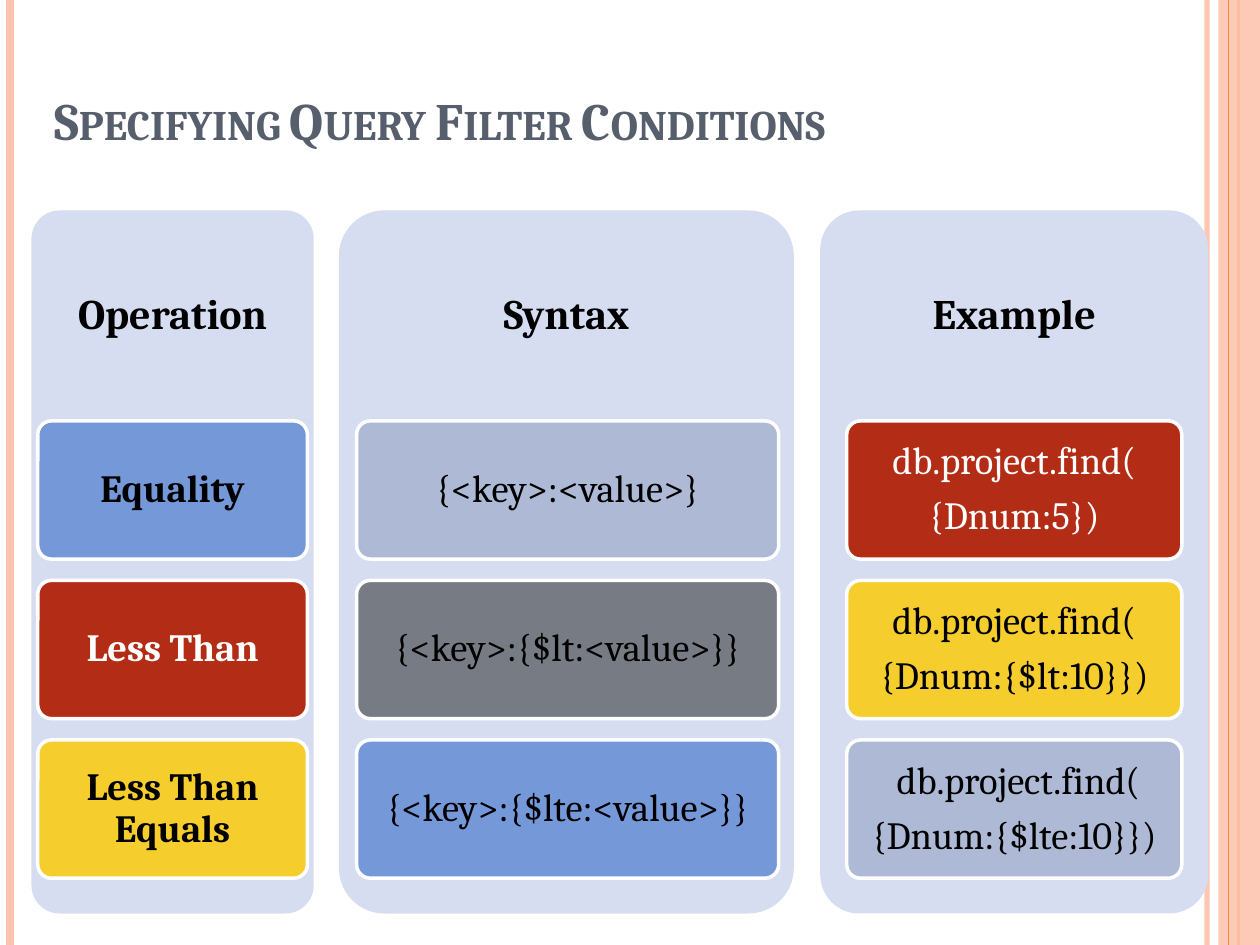
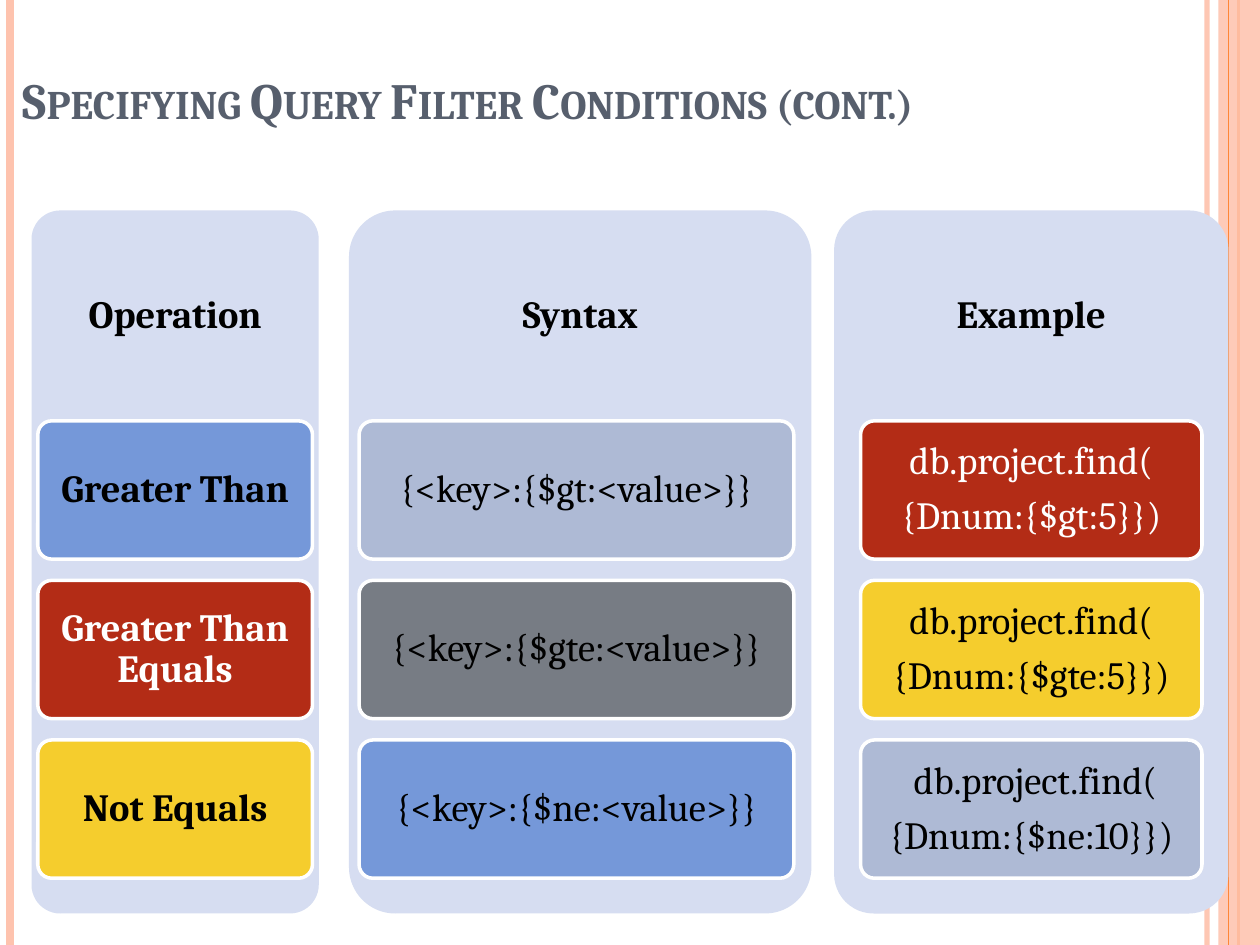
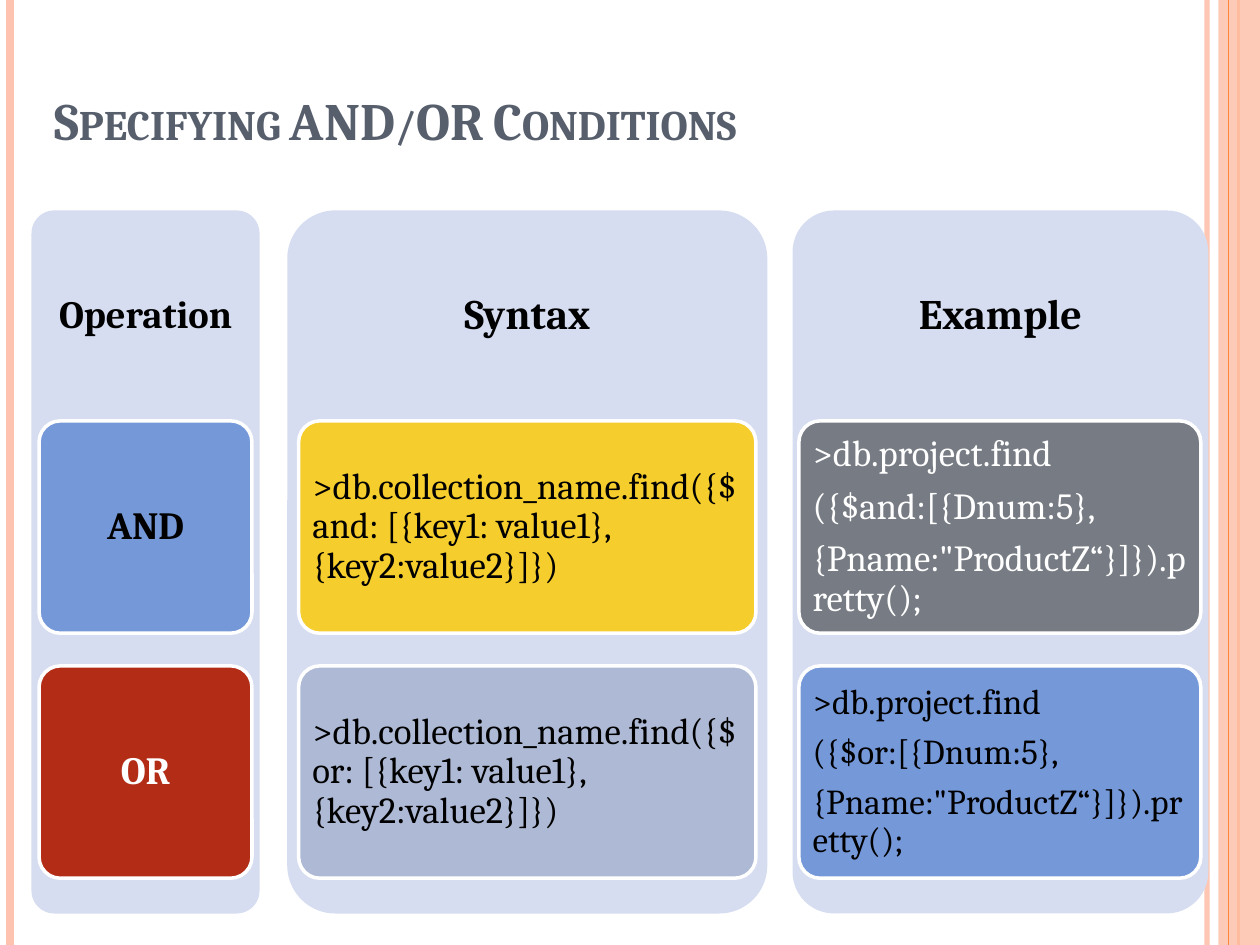
from lxml import etree
from pptx import Presentation
from pptx.dml.color import RGBColor
from pptx.enum.shapes import MSO_CONNECTOR, MSO_SHAPE
from pptx.enum.text import MSO_ANCHOR, MSO_AUTO_SIZE, PP_ALIGN
from pptx.oxml.ns import qn
from pptx.util import Inches, Pt

LEFT, CENTER = PP_ALIGN.LEFT, PP_ALIGN.CENTER
MIDDLE, BOTTOM = MSO_ANCHOR.MIDDLE, MSO_ANCHOR.BOTTOM

BLACK = RGBColor(0x00, 0x00, 0x00)
WHITE = RGBColor(0xFF, 0xFF, 0xFF)
SLATE = RGBColor(0x57, 0x5F, 0x6D)
PEACH = RGBColor(0xFE, 0xC3, 0xAE)
ORANGE = RGBColor(0xFE, 0x86, 0x37)
PALE_BLUE = RGBColor(0xD6, 0xDD, 0xF1)

# Card styles: fill, text colour
BLUE = (RGBColor(0x75, 0x98, 0xD9), BLACK)
RED = (RGBColor(0xB3, 0x2C, 0x16), WHITE)
YELLOW = (RGBColor(0xF5, 0xCD, 0x2D), BLACK)
LAVENDER = (RGBColor(0xAE, 0xBA, 0xD5), BLACK)
GRAY = (RGBColor(0x77, 0x7C, 0x84), BLACK)
GRAY_WHITE_TEXT = (GRAY[0], WHITE)

FONT = "Cambria"
SLIDE_WIDTH, SLIDE_HEIGHT = 10, 7.5
COLUMN_TOP, COLUMN_HEIGHT, HEADER_HEIGHT = 1.67, 5.58, 1.68
CARDS_TOP, CARDS_HEIGHT = 3.34, 3.63
GAP_RATIO = 0.154  # gap between cards, as a share of a card's height

# Side rules: x, colour, width in points, opacity in percent
RULES_BEHIND_BAND = [(9.58, PEACH, 3, 93), (0.08, PEACH, 4.5, 100), (9.83, ORANGE, 1.5, 100)]
RULES_OVER_BAND = [(9.75, ORANGE, 0.75, 100)]

# Column: header, header size, (left, width), (card left, card width), alignment, cards
# Card: text, style, text size
SLIDES = [
    {
        "title": "Specifying Query Filter Conditions",
        "title_box": (0.33, 0, 8.42, 1.25),
        "title_size": 30,
        "columns": [
            ("Operation", 24, (0.25, 2.24), (0.3, 2.14), CENTER, [
                ("Equality", BLUE, 22),
                ("Less Than", RED, 22),
                ("Less Than Equals", YELLOW, 22),
            ]),
            ("Syntax", 24, (2.69, 3.61), (2.83, 3.35), CENTER, [
                ("{<key>:<value>}", LAVENDER, 22),
                ("{<key>:{$lt:<value>}}", GRAY, 22),
                ("{<key>:{$lte:<value>}}", BLUE, 22),
            ]),
            ("Example", 24, (6.51, 3.08), (6.72, 2.66), CENTER, [
                ("db.project.find(\n{Dnum:5})", RED, 22),
                ("db.project.find(\n{Dnum:{$lt:10}})", YELLOW, 22),
                (" db.project.find(\n{Dnum:{$lte:10}})", LAVENDER, 22),
            ]),
        ],
    },
    {
        "title": "Specifying Query Filter Conditions (cont.)",
        "title_box": (0.08, -0.17, 9.58, 1.25),
        "title_size": 29,
        "columns": [
            ("Operation", 22, (0.25, 2.28), (0.3, 2.18), CENTER, [
                ("Greater Than", BLUE, 22),
                ("Greater Than Equals", RED, 22),
                ("Not Equals", YELLOW, 22),
            ]),
            ("Syntax", 22, (2.77, 3.67), (2.85, 3.45), CENTER, [
                ("{<key>:{$gt:<value>}}", LAVENDER, 22),
                ("{<key>:{$gte:<value>}}", GRAY, 22),
                ("{<key>:{$ne:<value>}}", BLUE, 22),
            ]),
            ("Example", 22, (6.62, 3.13), (6.83, 2.71), CENTER, [
                ("db.project.find(\n{Dnum:{$gt:5}})", RED, 22),
                ("db.project.find(\n{Dnum:{$gte:5}})", YELLOW, 22),
                (" db.project.find(\n{Dnum:{$ne:10}})", LAVENDER, 22),
            ]),
        ],
    },
    {
        "title": "Specifying AND/OR Conditions",
        "title_box": (0.33, 0, 8.42, 1.25),
        "title_size": 30,
        "columns": [
            ("Operation", 22, (0.25, 1.81), (0.31, 1.69), CENTER, [
                ("AND", BLUE, 22),
                ("OR", RED, 22),
            ]),
            ("Syntax", 24, (2.28, 3.81), (2.37, 3.63), LEFT, [
                (">db.collection_name.find({$and: [{key1: value1}, {key2:value2}]})", YELLOW, 21),
                (">db.collection_name.find({$or: [{key1: value1}, {key2:value2}]})", LAVENDER, 21),
            ]),
            ("Example", 24, (6.29, 3.3), (6.34, 3.19), LEFT, [
                (">db.project.find\n({$and:[{Dnum:5},\n{Pname:\"ProductZ“}]}).pretty();",
                 GRAY_WHITE_TEXT, 21),
                (">db.project.find\n({$or:[{Dnum:5},\n{Pname:\"ProductZ“}]}).pretty();",
                 BLUE, 20),
            ]),
        ],
    },
]


def inches(*lengths):
    return [Inches(length) for length in lengths]


def set_opacity(shape, percent):
    """Make the colour of the shape's first solid fill (or line) partly transparent."""
    color = next(shape.element.spPr.iter(qn("a:srgbClr")))
    etree.SubElement(color, qn("a:alpha")).set("val", str(percent * 1000))


def add_rules(slide, rules):
    shapes = []
    for x, color, width, opacity in rules:
        rule = slide.shapes.add_connector(
            MSO_CONNECTOR.STRAIGHT, *inches(x, 0, x, SLIDE_HEIGHT))
        rule.line.color.rgb = color
        rule.line.width = Pt(width)
        etree.SubElement(rule.element.spPr, qn("a:effectLst"))
        set_opacity(rule, opacity)
        shapes.append(rule)
    return shapes


def add_filled_shape(slide, kind, box, fill):
    shape = slide.shapes.add_shape(kind, *inches(*box))
    shape.shadow.inherit = False
    shape.fill.solid()
    shape.fill.fore_color.rgb = fill
    shape.line.fill.background()
    return shape


def decorate_layout(slide):
    """Draw the side rules and the band, then move them to the slide's layout."""
    layout = slide.slide_layout
    for placeholder in list(layout.placeholders):
        if placeholder.placeholder_format.idx != 0:
            placeholder.element.getparent().remove(placeholder.element)
    decorations = add_rules(slide, RULES_BEHIND_BAND)
    band = add_filled_shape(
        slide, MSO_SHAPE.RECTANGLE, (9.67, 0, SLIDE_WIDTH - 9.67, SLIDE_HEIGHT), PEACH)
    set_opacity(band, 87)
    decorations += [band, *add_rules(slide, RULES_OVER_BAND)]
    for shape in decorations:
        layout.shapes.element.append(shape.element)


def set_title(slide, text, box, size):
    title = slide.shapes.title
    title.left, title.top, title.width, title.height = inches(*box)
    frame = title.text_frame
    frame.text = text
    frame.auto_size = MSO_AUTO_SIZE.NONE
    frame.vertical_anchor = BOTTOM
    paragraph = frame.paragraphs[0]
    paragraph.alignment = LEFT
    font = paragraph.runs[0].font
    font.name, font.size, font.bold = FONT, Pt(size), True
    font.color.rgb = SLATE
    paragraph.runs[0].font._element.set("cap", "small")


def set_text(shape, text, size, color, bold, alignment, margins):
    frame = shape.text_frame
    frame.text = text
    frame.word_wrap = True
    frame.vertical_anchor = MIDDLE
    frame.margin_left = frame.margin_right = Inches(margins[0])
    frame.margin_top = frame.margin_bottom = Inches(margins[1])
    for paragraph in frame.paragraphs:
        paragraph.alignment = alignment
        paragraph.line_spacing = 0.9
        paragraph.space_after = Pt(0.35 * size)
        for run in paragraph.runs:
            run.font.name, run.font.size, run.font.bold = FONT, Pt(size), bold
            run.font.color.rgb = color


def add_rounded_shape(slide, box, fill):
    shape = add_filled_shape(slide, MSO_SHAPE.ROUNDED_RECTANGLE, box, fill)
    shape.adjustments[0] = 0.1
    return shape


def add_column(slide, header, header_size, column_span, card_span, alignment, cards):
    left, width = column_span
    add_rounded_shape(slide, (left, COLUMN_TOP, width, COLUMN_HEIGHT), PALE_BLUE)
    header_box = slide.shapes.add_textbox(*inches(left, COLUMN_TOP, width, HEADER_HEIGHT))
    set_text(header_box, header, header_size, BLACK, True, CENTER, (0.1, 0.1))

    card_left, card_width = card_span
    card_height = CARDS_HEIGHT / (len(cards) + (len(cards) - 1) * GAP_RATIO)
    for index, (text, (fill, color), size) in enumerate(cards):
        top = CARDS_TOP + index * card_height * (1 + GAP_RATIO)
        card = add_rounded_shape(slide, (card_left, top, card_width, card_height), fill)
        card.line.color.rgb = WHITE
        card.line.width = Pt(2)
        set_text(card, text, size, color, header == "Operation", alignment, (0.06, 0.05))


def main():
    presentation = Presentation()
    presentation.slide_width, presentation.slide_height = inches(SLIDE_WIDTH, SLIDE_HEIGHT)
    title_only = presentation.slide_layouts.get_by_name("Title Only")
    for number, content in enumerate(SLIDES):
        slide = presentation.slides.add_slide(title_only)
        if number == 0:
            decorate_layout(slide)
        set_title(slide, content["title"], content["title_box"], content["title_size"])
        for column in content["columns"]:
            add_column(slide, *column)
    presentation.save("out.pptx")


if __name__ == "__main__":
    main()
